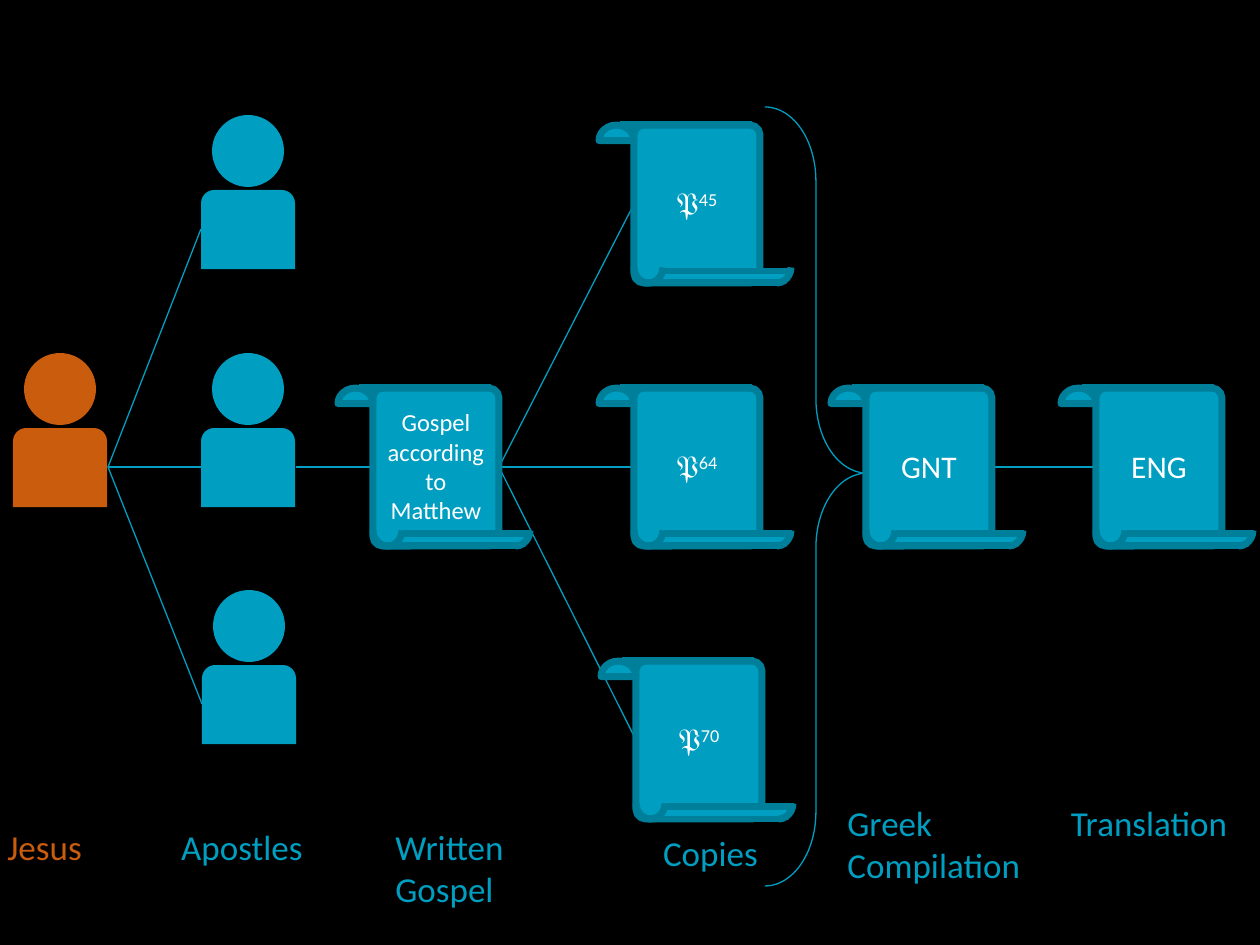
"""Draw the transmission chain from Jesus to a modern translation."""
from dataclasses import dataclass

from lxml import etree
from pptx import Presentation
from pptx import util as u
from pptx.dml.color import RGBColor
from pptx.enum import shapes, text
from pptx.oxml.ns import qn

SHAPE = shapes.MSO_SHAPE
CENTER = text.PP_ALIGN.CENTER
LEFT = text.PP_ALIGN.LEFT
RIGHT_SIDE, LEFT_SIDE = 3, 1


@dataclass(frozen=True)
class Theme:
    back: str = "000000"
    main: str = "009EC0"
    edge: str = "007F9A"
    accent: str = "CA5C0E"
    paper_text: str = "FFFFFF"
    font: str = "Calibri"
    label: int = 20
    sign: int = 18
    small: int = 14
    thin: float = 0.75
    thick: float = 4


def px(length):
    return u.Emu(round(length * 914400 / 126))


def rgb(color):
    return RGBColor.from_string(color)


class Diagram:
    def __init__(self, slide, theme):
        self.slide = slide
        self.theme = theme
        slide.background.fill.solid()
        slide.background.fill.fore_color.rgb = rgb(theme.back)

    def shape(self, kind, box, fill=None, edge=None, width=0, adjust=(), turn=0):
        part = self.slide.shapes.add_shape(kind, *map(px, box))
        part.shadow.inherit = False
        part.rotation = turn
        for index, value in enumerate(adjust):
            part.adjustments[index] = value
        if fill:
            part.fill.solid()
            part.fill.fore_color.rgb = rgb(fill)
        else:
            part.fill.background()
        if edge:
            part.line.color.rgb = rgb(edge)
            part.line.width = u.Pt(width)
        else:
            part.line.fill.background()
        return part

    def line(self, start, end, color, width):
        stroke = self.slide.shapes.add_connector(
            shapes.MSO_CONNECTOR.STRAIGHT, *map(px, (*start, *end)))
        stroke.line.color.rgb = rgb(color)
        stroke.line.width = u.Pt(width)
        etree.SubElement(stroke._element.spPr, qn("a:effectLst"))
        return stroke

    def link(self, start, end):
        return self.line(start, end, self.theme.main, self.theme.thin)

    def words(self, box, wording, size, color, align=CENTER, wrap=True, raised=""):
        frame = self.slide.shapes.add_textbox(*map(px, box)).text_frame
        frame.word_wrap = wrap
        frame.text = wording
        if raised:
            number = frame.paragraphs[0].add_run()
            number.text = raised
            number.font._element.set("baseline", "30000")
        for paragraph in frame.paragraphs:
            paragraph.alignment = align
            for run in paragraph.runs:
                run.font.name = self.theme.font
                run.font.size = u.Pt(size)
                run.font.color.rgb = rgb(color)
        return frame

    def label(self, box, wording, color, align=CENTER, wrap=True):
        frame = self.words(box, wording, self.theme.label, color, align, wrap)
        frame.auto_size = text.MSO_AUTO_SIZE.SHAPE_TO_FIT_TEXT

    def person(self, x, y, color):
        self.shape(SHAPE.OVAL, (x + 11, y - 75, 72, 72), color)
        self.shape(SHAPE.ROUND_2_SAME_RECTANGLE, (x, y, 94, 79), color)

    def scroll(self, x, y, wording, size, raised=""):
        fill, edge, thick = self.theme.main, self.theme.edge, self.theme.thick
        sheet = self.shape(SHAPE.ROUNDED_RECTANGLE, (x, y, 126, 158),
                           fill, edge, thick, (0.078,))
        self.shape(SHAPE.ROUNDED_RECTANGLE, (x + 26, y + 145, 126, 13),
                   fill, edge, 0, (0,))
        for dx, angles in ((128, (108.916, 161.966)), (0, (108.889, 0))):
            self.shape(SHAPE.ARC, (x + dx, y + 126, 29, 32),
                       None, edge, thick, angles, 180)
        for left, right, dy in ((30, 158, 146), (11, 144, 158), (-14, 118, 0)):
            self.line((x + left, y + dy), (x + right, y + dy), edge, thick)
        self.shape(SHAPE.PIE, (x - 35, y, 35, 31), fill, edge, thick,
                   (0, 108.452), 180)
        frame = self.words((x, y, 126, 156), wording, size,
                           self.theme.paper_text, raised=raised)
        frame.vertical_anchor = text.MSO_ANCHOR.MIDDLE
        return sheet


def main():
    deck = Presentation()
    deck.slide_width, deck.slide_height = px(1260), px(945)
    theme = Theme()
    diagram = Diagram(deck.slides.add_slide(deck.slide_layouts[6]), theme)

    row, axis = 388, 467
    jesus = (13, 428)
    apostles = ((201, 190), (201, 428), (202, 665))
    copies = ((634, 125, "45"), (636, 661, "70"), (634, row, "64"))

    for x, y in apostles:
        diagram.link((108, axis), (x, y + 39))
    to_gospel = diagram.link((296, axis), (373, axis))
    to_copies = [diagram.link((499, axis), (x, y + 79)) for x, y, _ in copies]
    to_translation = diagram.link((992, axis), (1096, axis))
    diagram.shape(SHAPE.RIGHT_BRACE, (765, 107, 102, 779), None,
                  theme.main, theme.thin, (0.727, 0.47))

    diagram.person(*jesus, theme.accent)
    for place in apostles:
        diagram.person(*place, theme.main)

    papyri = [diagram.scroll(x, y, "𝔓", theme.sign, number)
              for x, y, number in copies]
    translation = diagram.scroll(1096, row, "ENG", theme.sign)
    compilation = diagram.scroll(866, row, "GNT", theme.sign)
    gospel = diagram.scroll(373, row, "Gospel according to Matthew", theme.small)

    to_gospel.end_connect(gospel, LEFT_SIDE)
    for link, papyrus in zip(to_copies, papyri):
        link.begin_connect(gospel, RIGHT_SIDE)
        link.end_connect(papyrus, LEFT_SIDE)
    to_translation.begin_connect(compilation, RIGHT_SIDE)
    to_translation.end_connect(translation, LEFT_SIDE)

    diagram.label((-5, 819, 101, 55), "Jesus", theme.accent, LEFT, False)
    diagram.label((147, 819, 190, 55), "Apostles", theme.main)
    diagram.label((383, 819, 164, 97), "Written\nGospel", theme.main, LEFT)
    diagram.label((611, 825, 199, 55), "Copies", theme.main)
    diagram.label((835, 795, 205, 97), "Greek\nCompilation", theme.main, LEFT)
    diagram.label((1057, 795, 184, 55), "Translation", theme.main, CENTER, False)
    deck.save("out.pptx")


if __name__ == "__main__":
    main()
